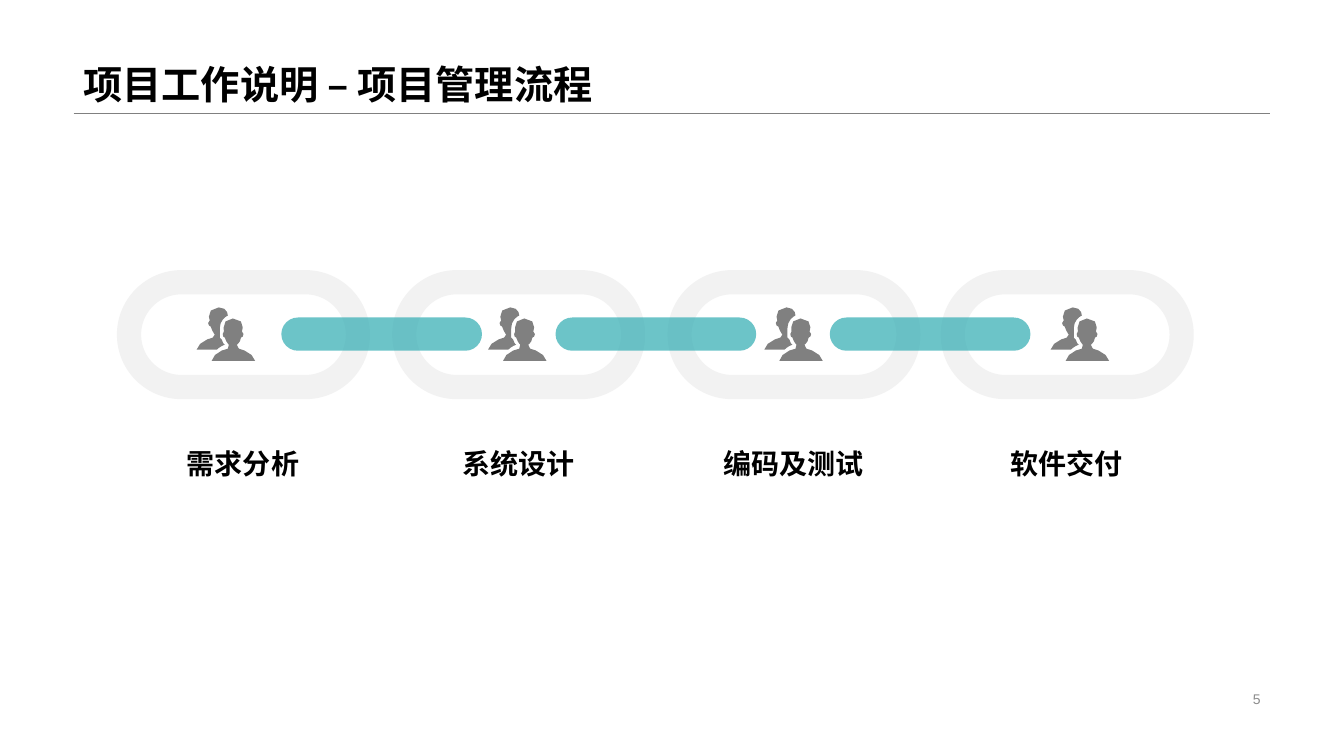
from dataclasses import dataclass

from lxml.etree import SubElement
from pptx import Presentation
from pptx.dml.color import RGBColor
from pptx.enum.lang import MSO_LANGUAGE_ID as LANG
from pptx.enum.shapes import MSO_CONNECTOR, MSO_SHAPE
from pptx.enum.text import MSO_ANCHOR as ANCHOR, PP_ALIGN as ALIGN
from pptx.oxml.ns import qn
from pptx.util import Emu, Pt

PX = 9144  # 100 px to the inch
FONT = "Arial"
BLACK, GREY, PALE, TEAL, NUMBER = "000000", "808080", "F2F2F2", "2FACB2", "8C8C8C"

Point = tuple[float, float]
Contour = list[Point]
Curve = tuple[int, int, int, int, int, int]


@dataclass(frozen=True)
class Stage:
    name: str
    ring_x: int
    icon_x: int


@dataclass(frozen=True)
class Label:
    text: str
    x: int
    y: int
    w: int
    h: int
    size: int
    color: str = BLACK
    bold: bool = True
    align: ALIGN = ALIGN.LEFT
    anchor: ANCHOR = ANCHOR.BOTTOM
    spacing: float = 0.9


STAGES = [
    Stage("需求分析", 116, 195),
    Stage("系统设计", 389, 484),
    Stage("编码及测试", 662, 758),
    Stage("软件交付", 933, 1042),
]
RING_Y, RING_W, RING_H, RING_BAND = 268, 251, 128, 24
LINK_X, LINK_Y, LINK_W, LINK_H, LINK_STEP = 279, 315, 199, 33, 272
ICON_Y = 305

# People icon: start point, then Bézier curves (two handles and an end)
FRONT_START = (42, 41)
FRONT: list[Curve] = [
    (41, 40, 40, 37, 40, 37), (40, 37, 44, 34, 44, 30), (46, 30, 48, 26, 45, 24),
    (46, 22, 48, 11, 36, 11), (25, 11, 27, 22, 27, 24), (25, 26, 26, 30, 28, 30),
    (29, 34, 32, 37, 32, 37), (32, 37, 32, 40, 31, 41), (27, 41, 15, 47, 15, 53),
    (58, 53, 58, 53, 58, 53), (58, 47, 45, 41, 42, 41),
]
BACK_START = (20, 42)
BACK: list[Curve] = [
    (22, 40, 25, 38, 28, 37), (27, 37, 26, 35, 25, 32), (24, 32, 24, 31, 23, 30),
    (23, 28, 22, 27, 23, 26), (23, 25, 23, 24, 23, 23), (23, 21, 23, 15, 26, 12),
    (28, 10, 29, 9, 31, 8), (31, 5, 29, 0, 22, 0), (10, 0, 12, 12, 13, 13),
    (10, 15, 12, 19, 14, 19), (15, 23, 18, 27, 18, 27), (18, 27, 17, 29, 16, 30),
    (13, 30, 0, 36, 0, 42),
]


def px(n: float) -> Emu:
    return Emu(round(n * PX))


def rgb(color: str) -> RGBColor:
    return RGBColor.from_string(color)


def paint(sp, color: str, alpha: int = 100) -> None:
    sp.shadow.inherit = False
    sp.line.fill.background()
    sp.fill.solid()
    sp.fill.fore_color.rgb = rgb(color)
    if alpha < 100:
        clr = sp._element.spPr.find(qn("a:solidFill")).find(qn("a:srgbClr"))
        SubElement(clr, qn("a:alpha"), val=str(alpha * 1000))


def bezier(start: Point, curves: list[Curve]) -> Contour:
    points = [start]
    for x1, y1, x2, y2, x3, y3 in curves:
        x0, y0 = points[-1]
        # Short curves need only their end point
        steps = 3 if abs(x3 - x0) + abs(y3 - y0) > 5 else 1
        for i in range(1, steps + 1):
            t = i / steps
            a, b, c, d = (1 - t) ** 3, 3 * t * (1 - t) ** 2, 3 * t * t * (1 - t), t ** 3
            points.append((a * x0 + b * x1 + c * x2 + d * x3,
                           a * y0 + b * y1 + c * y2 + d * y3))
    return points


def add_outline(slide, contours: list[Contour], x: int, y: int, color: str) -> None:
    placed = [[(px(x + dx), px(y + dy)) for dx, dy in c] for c in contours]
    fb = slide.shapes.build_freeform(*placed[0][0])
    for i, points in enumerate(placed):
        if i:
            fb.move_to(*points[0])
        fb.add_line_segments(points[1:], close=True)
    paint(fb.convert_to_shape(), color)


def add_pill(slide, x: float, y: float, w: float, h: float):
    sp = slide.shapes.add_shape(MSO_SHAPE.ROUNDED_RECTANGLE, px(x), px(y), px(w), px(h))
    sp.adjustments[0] = 0.5
    return sp


def add_ring(slide, x: int) -> None:
    half = RING_BAND // 2
    sp = add_pill(slide, x + half, RING_Y + half, RING_W - RING_BAND, RING_H - RING_BAND)
    sp.shadow.inherit = False
    sp.fill.background()
    sp.line.color.rgb = rgb(PALE)
    sp.line.width = px(RING_BAND)


def add_label(slide, label: Label) -> None:
    sp = slide.shapes.add_textbox(px(label.x), px(label.y), px(label.w), px(label.h))
    tf = sp.text_frame
    tf.word_wrap = True
    tf.vertical_anchor = label.anchor
    p = tf.paragraphs[0]
    p.alignment = label.align
    p.line_spacing = label.spacing
    r = p.add_run()
    r.text = label.text
    r.font.name = FONT
    r.font.size = Pt(label.size)
    r.font.bold = label.bold
    r.font.color.rgb = rgb(label.color)
    r.font.language_id = LANG.SIMPLIFIED_CHINESE


def add_rule(slide, x1: int, x2: int, y: int) -> None:
    line = slide.shapes.add_connector(MSO_CONNECTOR.STRAIGHT, px(x1), px(y), px(x2), px(y))
    line.line.color.rgb = rgb(GREY)
    line.line.width = Pt(0.25)
    SubElement(line._element.spPr, qn("a:effectLst"))


def main() -> None:
    prs = Presentation()
    prs.slide_width, prs.slide_height = px(1333), px(750)
    slide = prs.slides.add_slide(prs.slide_layouts[6])

    # Title and page number
    add_rule(slide, 73, 1260, 112)
    add_label(slide, Label("项目工作说明 – 项目管理流程", 73, 0, 1187, 112, 28))
    add_label(slide, Label("5", 942, 682, 318, 23, 10, NUMBER, False,
                           ALIGN.RIGHT, ANCHOR.MIDDLE, 1.0))

    # Chain of rings with their captions
    for stage in STAGES:
        add_ring(slide, stage.ring_x)
        add_label(slide, Label(stage.name, stage.ring_x + 21, 440, 208, 42, 20,
                               align=ALIGN.CENTER))

    # Links between neighbouring rings
    for i in range(len(STAGES) - 1):
        paint(add_pill(slide, LINK_X + i * LINK_STEP, LINK_Y, LINK_W, LINK_H), TEAL, 70)

    # People icons
    people = [bezier(FRONT_START, FRONT), bezier(BACK_START, BACK)]
    for stage in STAGES:
        add_outline(slide, people, stage.icon_x, ICON_Y, GREY)

    prs.save("out.pptx")


if __name__ == "__main__":
    main()
